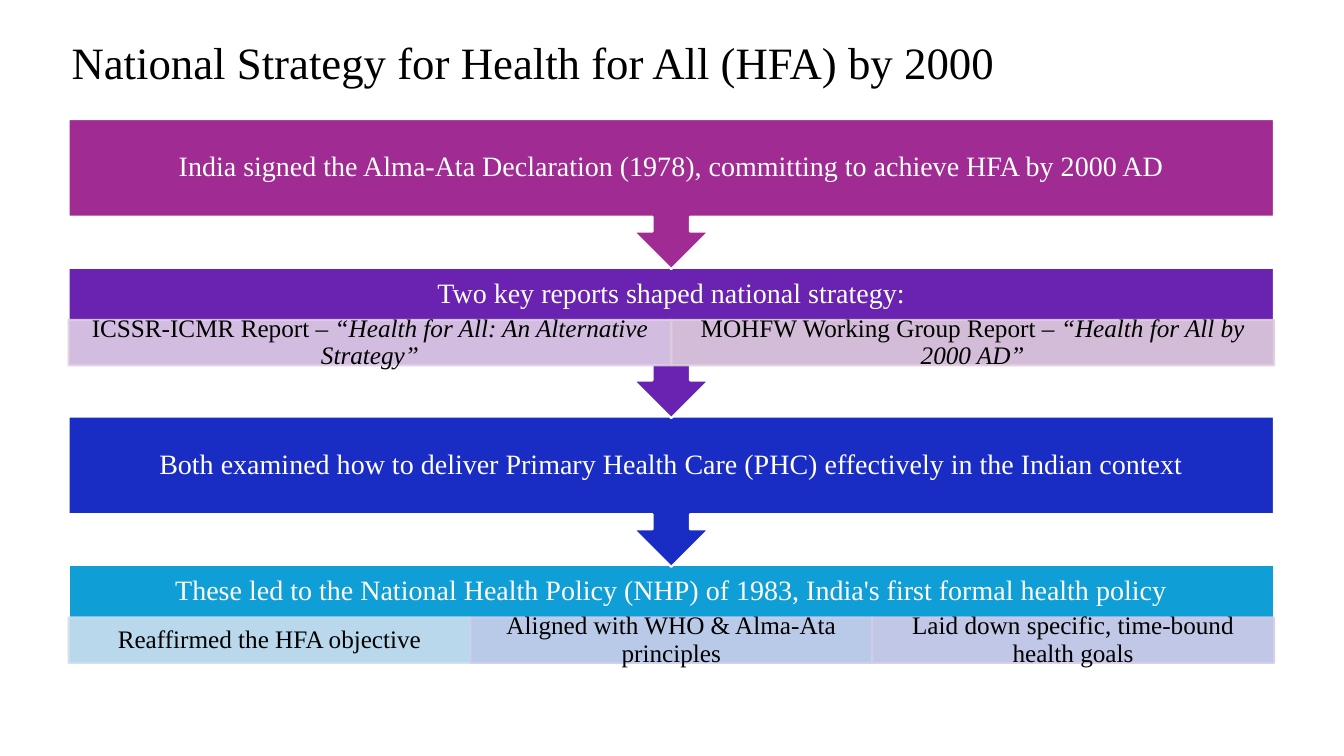
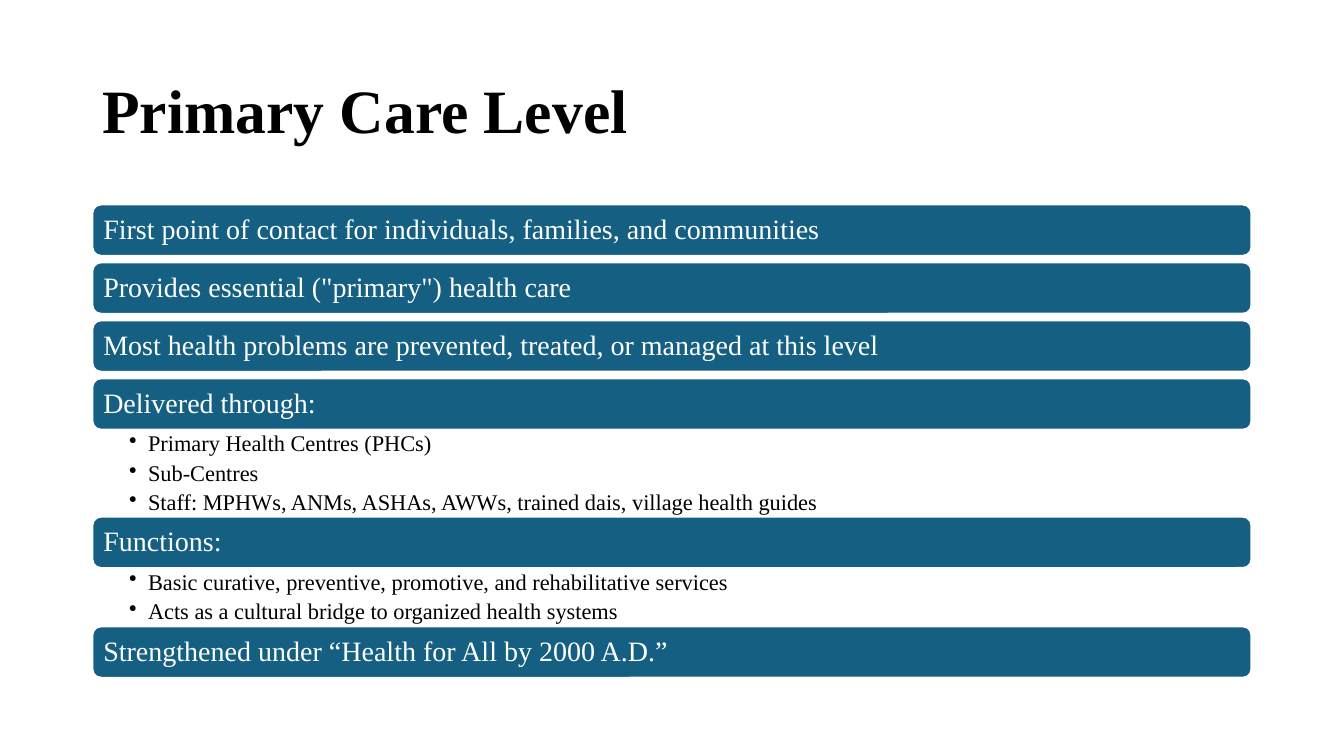
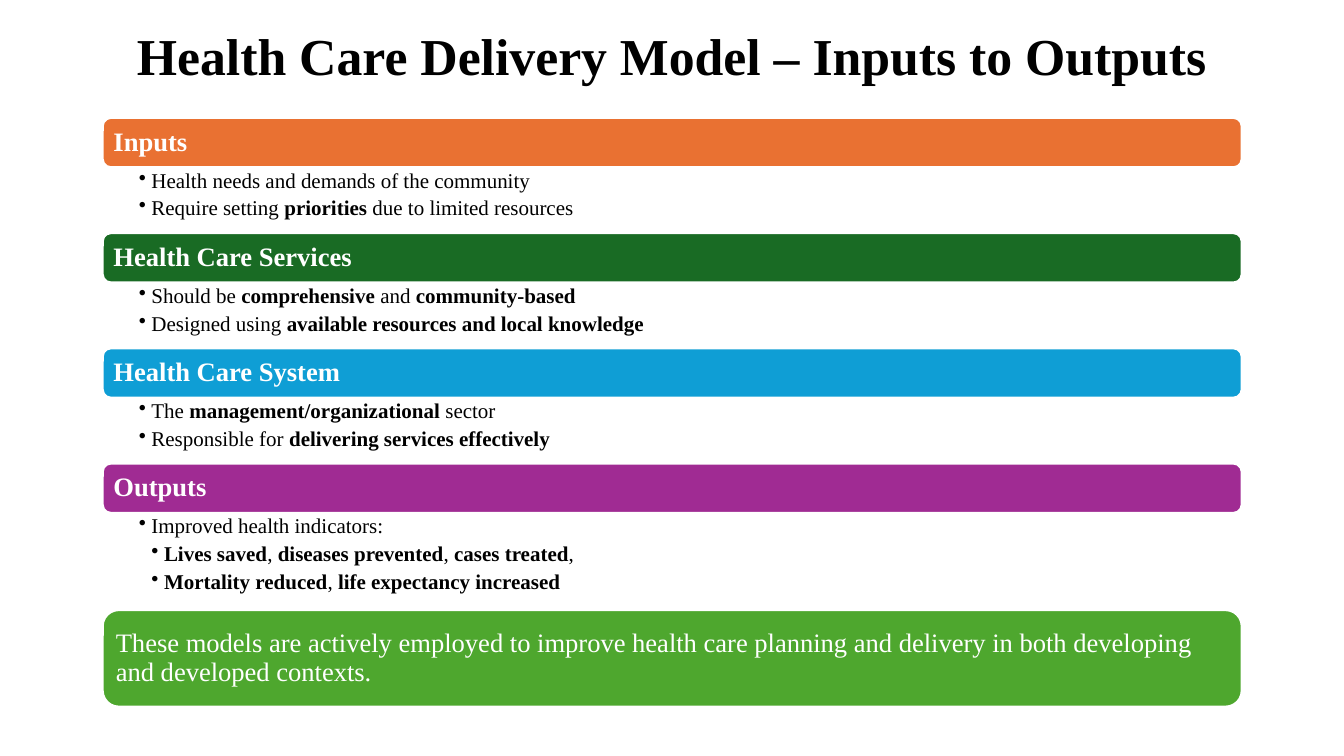
from dataclasses import dataclass

from lxml.etree import SubElement
from pptx import Presentation
from pptx.dml.color import RGBColor
from pptx.enum.shapes import MSO_SHAPE
from pptx.enum.text import MSO_ANCHOR, PP_ALIGN
from pptx.oxml.ns import qn
from pptx.util import Pt

FONT = "Times New Roman"
BLACK = RGBColor(0x00, 0x00, 0x00)
WHITE = RGBColor(0xFF, 0xFF, 0xFF)
MAGENTA = RGBColor(0xA0, 0x2B, 0x93)
PURPLE = RGBColor(0x6A, 0x22, 0xB1)
BLUE = RGBColor(0x19, 0x2C, 0xC3)
SKY = RGBColor(0x0F, 0x9E, 0xD5)
TEAL = RGBColor(0x15, 0x60, 0x82)
ORANGE = RGBColor(0xE9, 0x71, 0x32)
DARK_GREEN = RGBColor(0x19, 0x6B, 0x24)
GREEN = RGBColor(0x4E, 0xA7, 0x2E)
PALE_MAUVE = RGBColor(0xDE, 0xCD, 0xE4)
PALE_PINK = RGBColor(0xDF, 0xCD, 0xDC)
PALE_SKY = RGBColor(0xCC, 0xDF, 0xEF)
PALE_BLUE = RGBColor(0xCC, 0xCF, 0xEC)
PALE_VIOLET = RGBColor(0xD5, 0xCC, 0xE8)

LINE_SPACING = 0.9
BORDER = 1.5
STEP_PITCH, STEP_HEIGHT, STEP_BODY = 106.3, 107.3, 69.8
DETAIL_TOP, DETAIL_HEIGHT = 37.2, 32.4


@dataclass
class StackStyle:
    heading_size: float
    bar_height: float
    gap: float
    bullet_size: float
    list_margin: float
    hanging: float


@dataclass
class Section:
    heading: str
    color: RGBColor
    points: tuple = ()  # (level, text) pairs
    list_height: float = 0
    bold: bool = False
    bar_height: float = 0


def write(paragraph, text, size, color, bold=False, emphasis="bold"):
    """Add the runs of text; parts between asterisks are emphasised."""
    paragraph.line_spacing = LINE_SPACING
    for index, part in enumerate(text.split("*")):
        if not part:
            continue
        run = paragraph.add_run()
        run.text = part
        run.font.name = FONT
        run.font.size = Pt(size)
        run.font.color.rgb = color
        run.font.bold = bold
        if index % 2:
            setattr(run.font, emphasis, True)


def set_frame(shape, margins, anchor=MSO_ANCHOR.MIDDLE):
    frame = shape.text_frame
    frame.word_wrap = True
    frame.vertical_anchor = anchor
    (frame.margin_left, frame.margin_top,
     frame.margin_right, frame.margin_bottom) = map(Pt, margins)
    return frame


def add_text_box(slide, box, margins, anchor=MSO_ANCHOR.MIDDLE):
    return set_frame(slide.shapes.add_textbox(*map(Pt, box)), margins, anchor)


def add_block(slide, kind, box, fill, line=WHITE, opacity=100):
    block = slide.shapes.add_shape(kind, *map(Pt, box))
    block.shadow.inherit = False
    block.fill.solid()
    block.fill.fore_color.rgb = fill
    block.line.color.rgb = line
    block.line.width = Pt(BORDER)
    if opacity < 100:
        for color in block.element.spPr.iter(qn("a:srgbClr")):
            SubElement(color, qn("a:alpha"), val=str(opacity * 1000))
    return block


def add_title(slide, box, text, size, bold=True, align=PP_ALIGN.LEFT):
    paragraph = add_text_box(slide, box, (7.2, 3.6, 7.2, 3.6)).paragraphs[0]
    paragraph.alignment = align
    write(paragraph, text, size, BLACK, bold)


def add_centred(block, margins, text, size, color):
    paragraph = set_frame(block, margins).paragraphs[0]
    paragraph.alignment = PP_ALIGN.CENTER
    write(paragraph, text, size, color, emphasis="italic")


def add_step(slide, box, heading, color, details, last):
    """Place one step of the flow with its row of details."""
    left, top, width, height = box
    kind = MSO_SHAPE.RECTANGLE if last else MSO_SHAPE.DOWN_ARROW_CALLOUT
    step = add_block(slide, kind, box, color)
    below = DETAIL_HEIGHT if details else 0
    add_centred(step, (11.5, 0, 11.5, below), heading, 20, WHITE)
    for column, (text, tint) in enumerate(details):
        cell_width = width / len(details)
        cell_box = (left + column * cell_width, top + DETAIL_TOP,
                    cell_width, DETAIL_HEIGHT)
        cell = add_block(slide, MSO_SHAPE.RECTANGLE, cell_box, tint, tint, 90)
        add_centred(cell, (10, 2, 10, 2), text, 18, BLACK)


def add_flow(slide, left, top, width, steps):
    """Draw from the last step up, so each arrow tip lies over the next step."""
    final = len(steps) - 1
    for index in range(final, -1, -1):
        height = STEP_BODY if index == final else STEP_HEIGHT
        add_step(slide, (left, top + index * STEP_PITCH, width, height),
                 *steps[index], last=index == final)


def add_bullets(slide, box, points, style):
    frame = add_text_box(slide, box, (style.list_margin, 2, 11, 2),
                         MSO_ANCHOR.TOP)
    for index, (level, text) in enumerate(points):
        paragraph = frame.add_paragraph() if index else frame.paragraphs[0]
        paragraph.level = level
        properties = paragraph._p.get_or_add_pPr()
        properties.set("marL", str(Pt(style.hanging * level)))
        properties.set("indent", str(-Pt(style.hanging)))
        SubElement(properties, qn("a:buChar"), char="•")
        paragraph.space_after = Pt(round(style.bullet_size * 0.24, 1))
        write(paragraph, text, style.bullet_size, BLACK)


def add_stack(slide, left, top, width, sections, style):
    """Place heading bars downwards, each followed by its list or a gap."""
    for section in sections:
        height = section.bar_height or style.bar_height
        bar = add_block(slide, MSO_SHAPE.ROUNDED_RECTANGLE,
                        (left, top, width, height), section.color)
        paragraph = set_frame(bar, (6, 6, 6, 6)).paragraphs[0]
        paragraph.alignment = PP_ALIGN.LEFT
        write(paragraph, section.heading, style.heading_size, WHITE,
              section.bold)
        top += height
        if section.points:
            add_bullets(slide, (left, top, width, section.list_height),
                        section.points, style)
        top += section.list_height or style.gap


def build_strategy(slide):
    add_title(slide, (44, 8, 872.6, 77),
              "National Strategy for Health for All (HFA) by 2000", 32,
              bold=False)
    add_flow(slide, 49, 85, 861, [
        ("India signed the Alma-Ata Declaration (1978), committing to achieve "
         "HFA by 2000 AD", MAGENTA, ()),
        ("Two key reports shaped national strategy:", PURPLE, (
            ("ICSSR-ICMR Report – *“Health for All: An Alternative Strategy”*",
             PALE_MAUVE),
            ("MOHFW Working Group Report – *“Health for All by 2000 AD”*",
             PALE_PINK))),
        ("Both examined how to deliver Primary Health Care (PHC) effectively "
         "in the Indian context", BLUE, ()),
        ("These led to the National Health Policy (NHP) of 1983, India's "
         "first formal health policy", SKY, (
             ("Reaffirmed the HFA objective", PALE_SKY),
             ("Aligned with WHO & Alma-Ata principles", PALE_BLUE),
             ("Laid down specific, time-bound health goals", PALE_VIOLET))),
    ])


def build_primary_care(slide):
    add_title(slide, (66, 28.8, 828, 104.4), "Primary Care Level", 44)
    sections = [
        Section("First point of contact for individuals, families, and "
                "communities", TEAL),
        Section('Provides essential ("primary") health care', TEAL),
        Section("Most health problems are prevented, treated, or managed at "
                "this level", TEAL),
        Section("Delivered through:", TEAL, (
            (1, "Primary Health Centres (PHCs)"),
            (1, "Sub-Centres"),
            (1, "Staff: MPHWs, ANMs, ASHAs, AWWs, trained dais, village "
                "health guides")), 62),
        Section("Functions:", TEAL, (
            (1, "Basic curative, preventive, promotive, and rehabilitative "
                "services"),
            (1, "Acts as a cultural bridge to organized health systems")),
            41.6),
        Section("Strengthened under “Health for All by 2000 A.D.”", TEAL),
    ]
    add_stack(slide, 66, 146, 828, sections,
              StackStyle(20, 36.8, 4.6, 16, 26.3, 13.5))


def build_delivery_model(slide):
    add_title(slide, (86.4, 12.2, 787, 59),
              "Health Care Delivery Model – Inputs to Outputs", 37,
              align=PP_ALIGN.CENTER)
    sections = [
        Section("Inputs", ORANGE, (
            (1, "Health needs and demands of the community"),
            (1, "Require setting *priorities* due to limited resources")),
            47, True),
        Section("Health Care Services", DARK_GREEN, (
            (1, "Should be *comprehensive* and *community-based*"),
            (1, "Designed using *available resources and local knowledge*")),
            47, True),
        Section("Health Care System", SKY, (
            (1, "The *management/organizational* sector"),
            (1, "Responsible for *delivering services effectively*")),
            47, True),
        Section("Outputs", MAGENTA, (
            (1, "Improved health indicators:"),
            (2, "*Lives saved*, *diseases prevented*, *cases treated*,"),
            (2, "*Mortality reduced*, *life expectancy increased*")),
            69.4, True),
        Section("These models are actively employed to improve health care "
                "planning and delivery in both developing and developed "
                "contexts.", GREEN, bar_height=69),
    ]
    add_stack(slide, 73.4, 84.2, 813.6, sections,
              StackStyle(19, 35.3, 0, 15, 25.8, 9))


def main():
    deck = Presentation()
    deck.slide_width, deck.slide_height = Pt(960), Pt(540)
    for build in (build_strategy, build_primary_care, build_delivery_model):
        build(deck.slides.add_slide(deck.slide_layouts[6]))
    deck.save("out.pptx")


if __name__ == "__main__":
    main()
